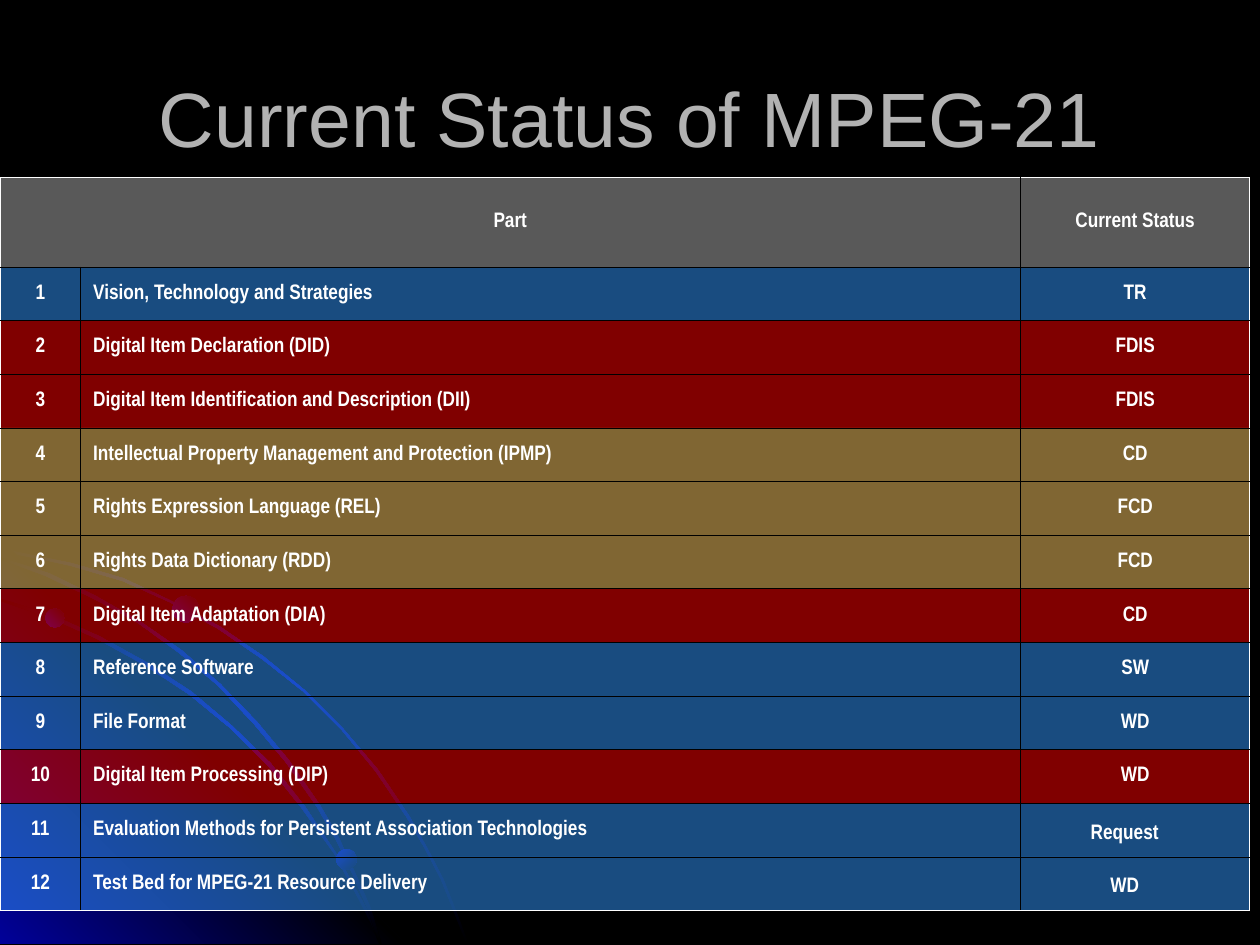
"""Build the MPEG-21 status slide: a title and a table over a dark arc backdrop."""
from dataclasses import dataclass

from pptx import Presentation
from pptx import util as u
from pptx.dml import color
from pptx.enum import shapes, text
from pptx.oxml import ns, parse_xml

WIDTH, HEIGHT = u.Inches(10), u.Inches(7.5)
HUNDREDTH = u.Inches(0.01)
COLORS = {
    "black": "000000", "navy": "010199", "silver": "B2B2B2", "white": "FFFFFF",
    "blue": "3399FF", "red": "FF0000", "gold": "FFCC66",
}
GLOW = ("black", "navy", "black")
CORNER = ("navy", "black", "navy")
FADE = ("navy", "black")
COLUMNS = (0.64, 7.46, 1.82)
TABLE_TOP, TABLE_HEIGHT, HEADER_HEIGHT = 1.41, 5.82, 0.71


@dataclass(frozen=True)
class Outline:
    """A closed outline in hundredths of an inch with its gradient."""
    points: tuple[tuple[int, int], ...]
    stops: tuple[str, ...]
    angle: int


@dataclass(frozen=True)
class Dot:
    """A gradient circle in inches."""
    left: float
    top: float
    size: float
    angle: int


@dataclass(frozen=True)
class Part:
    """One part of the standard, its status and its row colour."""
    name: str
    status: str
    fill: str


OUTLINES = (
    Outline(((57, 447), (28, 441), (0, 435), (0, 438), (28, 443), (56, 449), (97, 461),
             (135, 478), (173, 499), (208, 523), (241, 549), (271, 579), (298, 612),
             (323, 649), (337, 673), (350, 698), (360, 723), (370, 749), (372, 749),
             (362, 723), (352, 698), (339, 673), (325, 648), (300, 611), (272, 578),
             (242, 548), (209, 521), (174, 497), (136, 477), (98, 459)), GLOW, 45),
    Outline(((322, 749), (0, 749), (0, 427)), CORNER, 315),
    Outline(((285, 714), (294, 732), (301, 749), (303, 749), (296, 730), (286, 712),
             (266, 676), (242, 640), (215, 606), (184, 576), (152, 549), (117, 526),
             (79, 505), (41, 488), (0, 475), (0, 477), (39, 490), (77, 507), (115, 528),
             (150, 551), (183, 578), (213, 608), (240, 642), (265, 677)), GLOW, 45),
    Outline(((0, 442), (0, 444), (36, 457), (74, 475), (109, 494), (142, 518), (173, 544),
             (202, 575), (227, 605), (252, 641), (267, 667), (280, 694), (292, 722),
             (301, 749), (303, 749), (294, 720), (282, 693), (269, 665), (254, 639),
             (229, 603), (204, 573), (175, 543), (144, 516), (111, 493), (76, 473),
             (39, 455)), GLOW, 45),
)
DOTS = (Dot(0.36, 4.83, 0.15, 315), Dot(2.67, 6.74, 0.16, 45), Dot(1.37, 4.73, 0.21, 315))
PARTS = (
    Part("Vision, Technology and Strategies", "TR", "blue"),
    Part("Digital Item Declaration (DID)", "FDIS", "red"),
    Part("Digital Item Identification and Description (DII)", "FDIS", "red"),
    Part("Intellectual Property Management and Protection (IPMP)", "CD", "gold"),
    Part("Rights Expression Language (REL)", "FCD", "gold"),
    Part("Rights Data Dictionary (RDD)", "FCD", "gold"),
    Part("Digital Item Adaptation (DIA)", "CD", "red"),
    Part("Reference Software", "SW", "blue"),
    Part("File Format", "WD", "blue"),
    Part("Digital Item Processing (DIP)", "WD", "red"),
    Part("Evaluation Methods for Persistent Association Technologies", "Request　", "blue"),
    Part("Test Bed for MPEG-21 Resource Delivery", "WD　", "blue"),
)


def rgb(name: str) -> color.RGBColor:
    """Return the named colour."""
    return color.RGBColor.from_string(COLORS[name])


def write_text(frame, words: str, *, size: float, font: str, tint: str,
               bold: bool = False, align=text.PP_ALIGN.CENTER) -> None:
    """Put one formatted line into a text frame."""
    para = frame.paragraphs[0]
    para.alignment = align
    span = para.add_run()
    span.text = words
    span.font.size, span.font.name, span.font.bold = u.Pt(size), font, bold
    span.font.color.rgb = rgb(tint)


def paint_gradient(shape, stops: tuple[str, ...], angle: int) -> None:
    """Give a shape an evenly spaced linear gradient and no outline."""
    shape.shadow.inherit = False
    shape.line.fill.background()
    shape.fill.background()
    marks = "".join(
        f'<a:gs pos="{100000 * i // (len(stops) - 1)}"><a:srgbClr val="{COLORS[name]}"/></a:gs>'
        for i, name in enumerate(stops))
    gradient = parse_xml(
        f'<a:gradFill {ns.nsdecls("a")} rotWithShape="1"><a:gsLst>{marks}</a:gsLst>'
        f'<a:lin ang="{angle * 60000}" scaled="1"/></a:gradFill>')
    properties = shape._element.spPr
    properties.replace(properties.find(ns.qn("a:noFill")), gradient)


def draw_backdrop(page) -> None:
    """Draw the corner, the arcs and the dots."""
    for outline in OUTLINES:
        builder = page.shapes.build_freeform(*outline.points[0], scale=HUNDREDTH)
        builder.add_line_segments(outline.points[1:], close=True)
        paint_gradient(builder.convert_to_shape(), outline.stops, outline.angle)
    for dot in DOTS:
        circle = page.shapes.add_shape(
            shapes.MSO_SHAPE.OVAL, *map(u.Inches, (dot.left, dot.top, dot.size, dot.size)))
        paint_gradient(circle, FADE, dot.angle)


def draw_title(page, words: str) -> None:
    """Draw the centred title."""
    box = page.shapes.add_textbox(
        int(WIDTH * 0.05), int(HEIGHT * 0.04), int(WIDTH * 0.9), u.Inches(1.25))
    box.text_frame.word_wrap = True
    box.text_frame.vertical_anchor = text.MSO_ANCHOR.MIDDLE
    write_text(box.text_frame, words, size=44, font="Arial", tint="silver")


def style_cell(cell, fill: str, edges: dict[str, bool]) -> None:
    """Set white outer borders, black inner ones and a half-transparent fill."""
    properties = cell._tc.get_or_add_tcPr()
    for side, outer in edges.items():
        tint = COLORS["white" if outer else "black"]
        properties.append(parse_xml(
            f'<a:ln{side} {ns.nsdecls("a")} w="{u.Pt(0.45)}"><a:solidFill>'
            f'<a:srgbClr val="{tint}"/></a:solidFill></a:ln{side}>'))
    cell.fill.solid()
    cell.fill.fore_color.rgb = rgb(fill)
    solid = properties.find(ns.qn("a:solidFill"))
    solid[0].append(parse_xml(f'<a:alpha {ns.nsdecls("a")} val="50000"/>'))
    cell.vertical_anchor = text.MSO_ANCHOR.MIDDLE


def draw_table(page) -> None:
    """Draw the status table."""
    rows = [("Part", "", "Current Status")]
    rows += [(str(i), part.name, part.status) for i, part in enumerate(PARTS, 1)]
    fills = ["silver"] + [part.fill for part in PARTS]
    last_row, last_column = len(rows) - 1, len(COLUMNS) - 1
    table = page.shapes.add_table(
        len(rows), len(COLUMNS), 0, u.Inches(TABLE_TOP),
        u.Inches(sum(COLUMNS)), u.Inches(TABLE_HEIGHT)).table
    table.first_row = table.horz_banding = False
    for column, width in zip(table.columns, COLUMNS):
        column.width = u.Inches(width)
    body_height = (TABLE_HEIGHT - HEADER_HEIGHT) / len(PARTS)
    for r, (row, fill) in enumerate(zip(rows, fills)):
        table.rows[r].height = u.Inches(body_height if r else HEADER_HEIGHT)
        for c, words in enumerate(row):
            cell = table.cell(r, c)
            style_cell(cell, fill, {"L": c == 0, "R": c == last_column,
                                    "T": r == 0, "B": r == last_row})
            if words:
                left = r > 0 and c == 1
                write_text(cell.text_frame, words, size=12, font="Arial Narrow",
                           tint="white", bold=True,
                           align=text.PP_ALIGN.LEFT if left else text.PP_ALIGN.CENTER)
    table.cell(0, 0).merge(table.cell(0, 1))


def main() -> None:
    """Build and save the deck."""
    deck = Presentation()
    deck.slide_width, deck.slide_height = WIDTH, HEIGHT
    page = deck.slides.add_slide(deck.slide_layouts[6])
    page.background.fill.solid()
    page.background.fill.fore_color.rgb = rgb("black")
    draw_backdrop(page)
    draw_title(page, "Current Status of MPEG-21")
    draw_table(page)
    deck.save("out.pptx")


if __name__ == "__main__":
    main()
